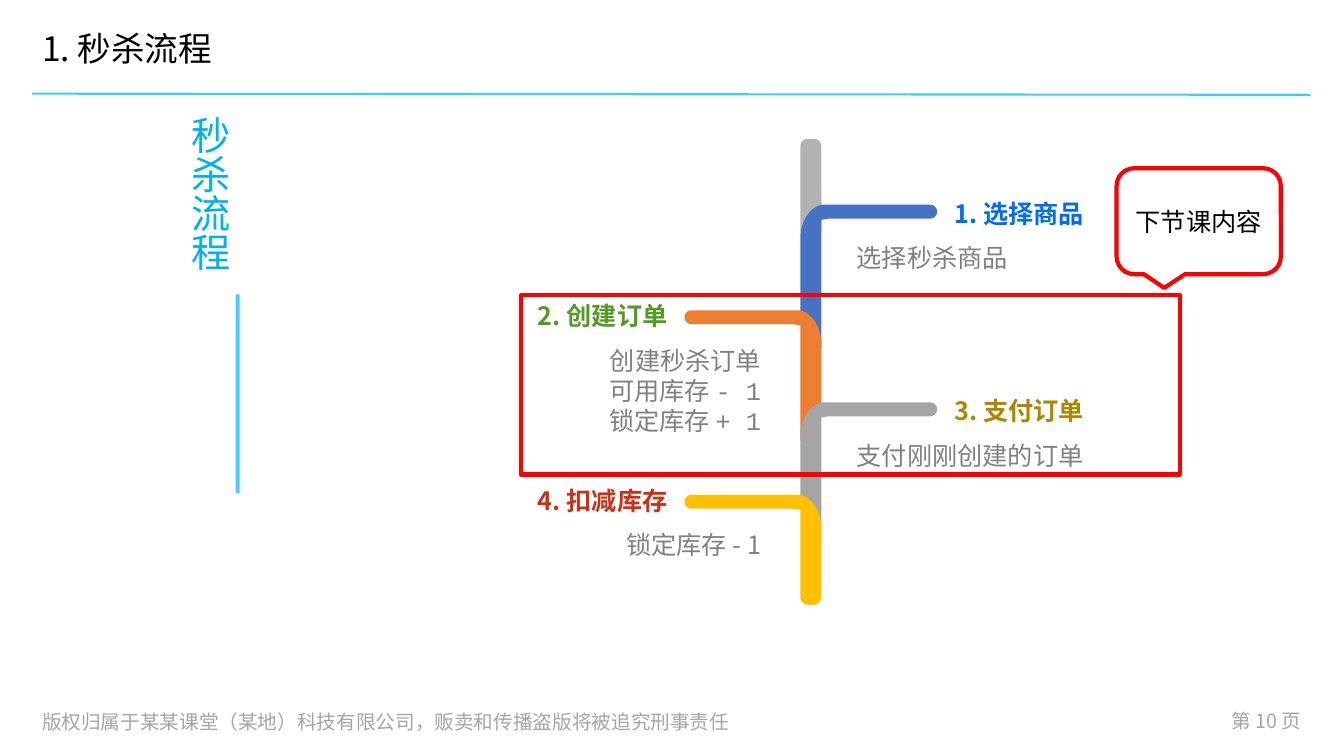
from math import cos, radians, sin

from lxml.etree import SubElement
from pptx import Presentation
from pptx.dml.color import RGBColor
from pptx.enum.shapes import MSO_CONNECTOR as Connector, MSO_SHAPE as Shape
from pptx.enum.text import MSO_ANCHOR as Anchor, PP_ALIGN as Align
from pptx.oxml.ns import qn
from pptx.util import Cm, Pt

SANS, MONO = "Noto Sans CJK SC", "Courier New"
BLACK = RGBColor(0x00, 0x00, 0x00)
GREY_TEXT = RGBColor(0x80, 0x80, 0x80)
FOOTER_GREY = RGBColor(0xA5, 0xA5, 0xA5)
STUB_GREY = RGBColor(0xB2, 0xB2, 0xB2)
RULE_BLUE = RGBColor(0x3A, 0xCD, 0xFF)
BAR_BLUE = RGBColor(0x47, 0xCF, 0xFF)
TITLE_BLUE = RGBColor(0x00, 0xB0, 0xF0)
RED = RGBColor(0xFF, 0x00, 0x00)
BLUE, BLUE_TEXT = RGBColor(0x44, 0x72, 0xC4), RGBColor(0x00, 0x6D, 0xF2)
ORANGE, GREEN_TEXT = RGBColor(0xED, 0x7D, 0x31), RGBColor(0x55, 0x9A, 0x27)
GREY, GOLD_TEXT = RGBColor(0xA5, 0xA5, 0xA5), RGBColor(0xB0, 0x85, 0x00)
YELLOW, RED_TEXT = RGBColor(0xFF, 0xC0, 0x00), RGBColor(0xC8, 0x32, 0x19)

SPINE_WIDTH, ARM_LENGTH, ARM_WIDTH = 0.53, 3.45, 0.35
CORNER = 0.2
STEPS = [
    (5.16, BLUE, BLUE_TEXT, SANS, "1. 选择商品", "选择秒杀商品"),
    (7.82, ORANGE, GREEN_TEXT, MONO, "2. 创建订单",
     "创建秒杀订单\n可用库存 - 1\n锁定库存 + 1"),
    (10.14, GREY, GOLD_TEXT, SANS, "3. 支付订单", "支付刚刚创建的订单"),
    (12.47, YELLOW, RED_TEXT, SANS, "4. 扣减库存", "锁定库存 - 1"),
]


def write(shape, text, size, color, align=Align.LEFT, anchor=Anchor.MIDDLE,
          font=SANS, bold=False, spacing=1.0):
    """Fill a shape with uniformly formatted text."""
    frame = shape.text_frame
    frame.word_wrap = True
    frame.vertical_anchor = anchor
    frame.text = text
    for para in frame.paragraphs:
        para.alignment = align
        para.line_spacing = spacing
        for span in para.runs:
            span.font.name = font
            span.font.size = Pt(size)
            span.font.bold = bold
            span.font.color.rgb = color
            east_asian = SubElement(span.font._element, qn("a:ea"))
            east_asian.set("typeface", SANS)


def add_text(page, box, text, size, color, inset=None, **style):
    """Place a text box at left, top, width, height in centimetres."""
    shape = page.shapes.add_textbox(*map(Cm, box))
    if inset is not None:
        frame = shape.text_frame
        frame.margin_left = frame.margin_right = Cm(inset)
        frame.margin_top = frame.margin_bottom = Cm(inset)
    write(shape, text, size, color, **style)
    return shape


def paint(shape, fill=None, line=None):
    """Give a shape a flat fill or a 3 pt outline."""
    shape.shadow.inherit = False
    if fill is None:
        shape.fill.background()
    else:
        shape.fill.solid()
        shape.fill.fore_color.rgb = fill
    if line is None:
        shape.line.fill.background()
    else:
        shape.line.color.rgb = line
        shape.line.width = Pt(3)
    return shape


def add_block(page, kind, box, **colors):
    """Place a preset shape at a box in centimetres."""
    return paint(page.shapes.add_shape(kind, *map(Cm, box)), **colors)


def arc(center_x, center_y, radius, start, end):
    """Return points along a circular arc, angles in degrees."""
    angles = [radians(start + (end - start) * i / 8) for i in range(9)]
    return [(center_x + radius * cos(a), center_y + radius * sin(a))
            for a in angles]


def bezier(a, b, c, d):
    """Return points along a cubic curve."""
    steps = [i / 12 for i in range(13)]
    return [tuple((1 - t) ** 3 * p + 3 * (1 - t) ** 2 * t * q
                  + 3 * (1 - t) * t ** 2 * r + t ** 3 * s
                  for p, q, r, s in zip(a, b, c, d)) for t in steps]


def add_branch(page, left, top, drop, mirrored, color):
    """Draw an arm bending into the spine, down to the next arm or the end."""
    points = bezier((SPINE_WIDTH, 0), (0.17, 0.1), (0.03, 0.48), (0, 0.76))
    if drop is None:
        foot = 2.77 - CORNER
        points += arc(CORNER, foot, CORNER, 180, 90)
        points += arc(SPINE_WIDTH - CORNER, foot, CORNER, 90, 0)
    else:
        points += [(0, drop + 0.29), (SPINE_WIDTH, drop + 0.97)]
    points += [(SPINE_WIDTH, 0.38), (0.71, ARM_WIDTH)]
    cap = ARM_WIDTH / 2
    points += arc(ARM_LENGTH - cap, cap, cap, 90, -90)
    if mirrored:
        points = [(SPINE_WIDTH - x, y) for x, y in points]
    outline = [(Cm(left + x), Cm(top + y)) for x, y in points]
    builder = page.shapes.build_freeform(*outline[0])
    builder.add_line_segments(outline[1:])
    paint(builder.convert_to_shape(), fill=color)


def add_flow(page, left, top):
    """Draw the spine with its four alternating steps."""
    stub = add_block(page, Shape.ROUND_2_SAME_RECTANGLE,
                     (left, top, SPINE_WIDTH, 2.34), fill=STUB_GREY)
    stub.adjustments[0] = 0.33
    drops = [after[0] - step[0] for step, after in zip(STEPS, STEPS[1:])]
    for index, (step, drop) in enumerate(zip(STEPS, drops + [None])):
        arm_top, color, heading_color, font, heading, detail = step
        mirrored = index % 2 == 1
        add_branch(page, left, arm_top, drop, mirrored, color)
        heading_left, detail_left = (-12.27, -12.37) if mirrored else (3.88, 1.42)
        align = Align.RIGHT if mirrored else Align.LEFT
        heading_top = arm_top - (0.62 if mirrored else 0.54)
        add_text(page, (left + heading_left, heading_top, 8.92, 1.5), heading,
                 18, heading_color, inset=0, align=align, bold=True)
        add_text(page, (left + detail_left, heading_top + 1.49, 11.38, 2.34),
                 detail, 18, GREY_TEXT, inset=0, align=align,
                 anchor=Anchor.TOP, font=font)


def add_header(page, left, top, width):
    """Write the page heading above its rule."""
    add_text(page, (left, top, width, 1.8), "1. 秒杀流程", 24, BLACK, spacing=0.9)
    rule = page.shapes.add_connector(
        Connector.STRAIGHT, Cm(left + width), Cm(top + 2.01), Cm(left), Cm(top + 1.98))
    rule.line.color.rgb = RULE_BLUE
    rule.line.width = Pt(1.5)
    SubElement(rule._element.spPr, qn("a:effectLst"))


def add_side_title(page, left, top, width, height):
    """Write the vertical title with its bar."""
    add_block(page, Shape.RECTANGLE, (left + 5.13, top + 4.75, 0.1, 5), fill=BAR_BLUE)
    title = add_text(page, (left, top, width, height), "秒杀流程", 28, TITLE_BLUE,
                     align=Align.CENTER, spacing=0.9)
    title._element.txBody.bodyPr.set("vert", "eaVert")


def add_next_lesson(page, left, top):
    """Frame the steps of the next lesson and label them."""
    add_block(page, Shape.RECTANGLE, (left, top, 16.61, 4.52), line=RED)
    callout = add_block(page, Shape.ROUNDED_RECTANGULAR_CALLOUT,
                        (left + 15.01, top - 3.2, 4.14, 2.67), line=RED)
    callout.adjustments[0] = -0.21
    callout.adjustments[1] = 0.63
    write(callout, "下节课内容", 18, BLACK, align=Align.CENTER)


def add_footer(page, left, top):
    """Write the copyright notice and the page number."""
    add_text(page, (left, top, 19.71, 0.89),
             "版权归属于某某课堂（某地）科技有限公司，贩卖和传播盗版将被追究刑事责任",
             14, FOOTER_GREY, inset=0.25)
    add_text(page, (left + 29.19, top, 3.05, 0.89), "第 10 页", 14, FOOTER_GREY,
             align=Align.RIGHT, anchor=Anchor.TOP)


def main():
    """Build and save the deck."""
    deck = Presentation()
    deck.slide_width, deck.slide_height = Cm(33.87), Cm(19.05)
    page = deck.slides.add_slide(deck.slide_layouts[6])
    add_header(page, 0.81, 0.38, 32.21)
    add_side_title(page, 0.81, 2.67, 8.81, 14.48)
    add_flow(page, 20.17, 3.5)
    add_next_lesson(page, 13.13, 7.44)
    add_footer(page, 0.81, 17.73)
    deck.save("out.pptx")


if __name__ == "__main__":
    main()
